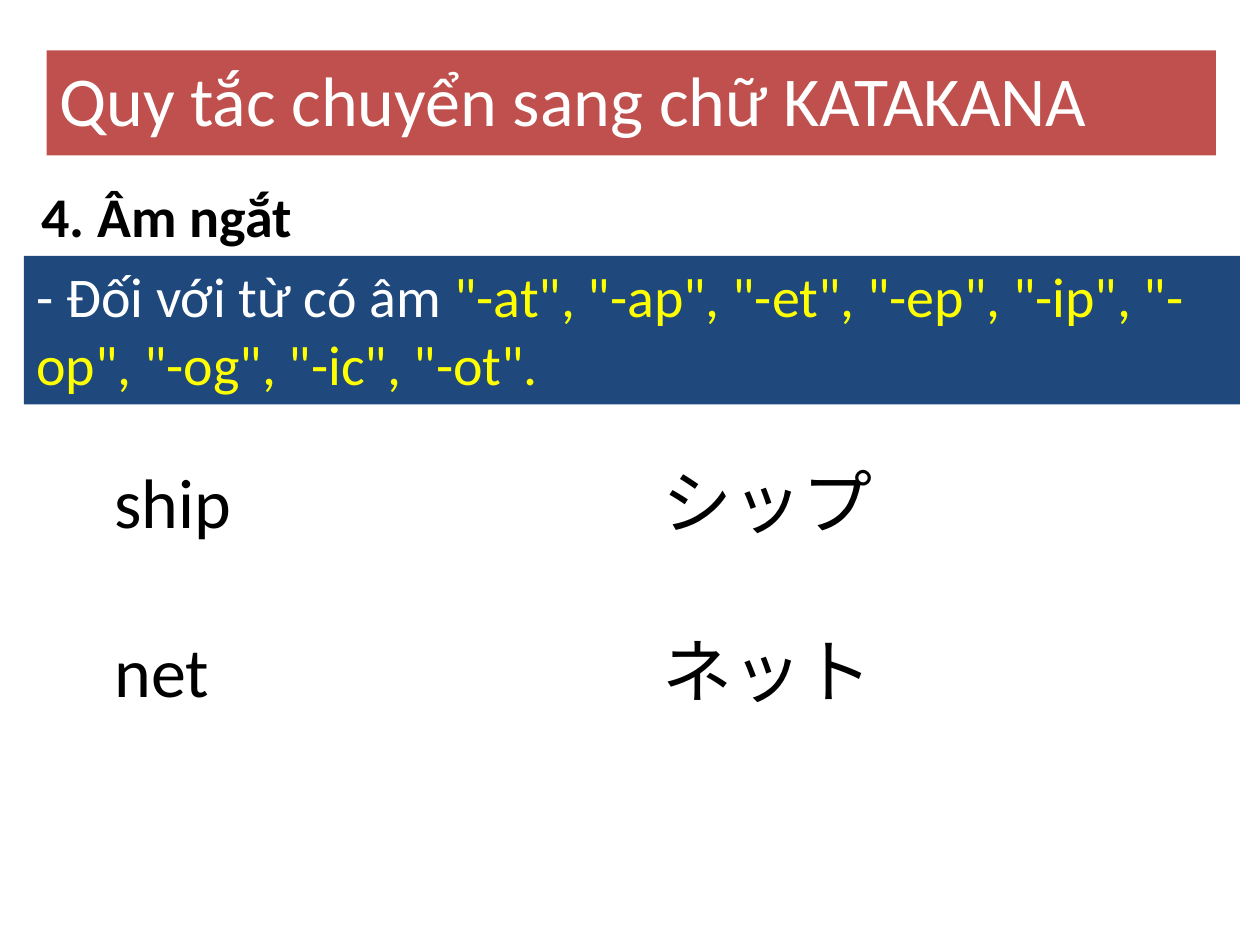
"""Build a slide on writing clipped sounds in katakana."""
from pptx import Presentation
from pptx.dml.color import RGBColor as RGB
from pptx.enum.text import MSO_ANCHOR as ANCHOR, MSO_AUTO_SIZE as AUTO, PP_ALIGN as ALIGN
from pptx.util import Inches, Pt

THEME = {
    "font": "Calibri", "large": 40, "medium": 32,
    "white": RGB(255, 255, 255), "black": RGB(0, 0, 0), "yellow": RGB(255, 255, 0),
    "red": RGB(0xC0, 0x50, 0x4D), "navy": RGB(0x1F, 0x49, 0x7D),
}
TITLE = "Quy tắc chuyển sang chữ KATAKANA"
HEADING = "4.\u00a0Âm ngắt"
RULE = "-\u00a0Đối với từ có\u00a0âm "
ENDINGS = '"-at", "-ap", "-et", "-ep", "-ip", "-op", "-og", "-ic", "-ot".'
WORDS = [("ship", "シップ"), ("net", "ネット")]
COLUMNS = [(0.81, 3.17), (5.16, 4.33)]
ROW_TOP, ROW_STEP, ROW_HEIGHT = 3.59, 1.34, 0.77


def style(sp, box, text, size="large", color="black", fill="white", bold=False):
    sp.left, sp.top, sp.width, sp.height = map(Inches, box)
    sp.fill.solid()
    sp.fill.fore_color.rgb = THEME[fill]
    tf = sp.text_frame
    tf.word_wrap = True
    tf.auto_size = AUTO.SHAPE_TO_FIT_TEXT
    tf.vertical_anchor = ANCHOR.TOP
    p = tf.paragraphs[0]
    p.text = text
    p.alignment = ALIGN.LEFT
    p.font.name = THEME["font"]
    p.font.size = Pt(THEME[size])
    p.font.bold = bold
    p.font.color.rgb = THEME[color]
    return p


def add_text(slide, box, text, **look):
    return style(slide.shapes.add_textbox(0, 0, 0, 0), box, text, **look)


def main():
    prs = Presentation()
    prs.slide_width, prs.slide_height = Inches(10), Inches(7.5)
    slide = prs.slides.add_slide(prs.slide_layouts.get_by_name("Title Only"))
    style(slide.shapes.title, (0.37, 0.4, 9.28, 0.77), TITLE, color="white", fill="red")
    add_text(slide, (0.23, 1.39, 8.8, 0.64), HEADING, size="medium", bold=True)
    p = add_text(slide, (0.19, 2.03, 9.65, 1.18), RULE, size="medium", color="white", fill="navy")
    r = p.add_run()
    r.text = ENDINGS
    r.font.color.rgb = THEME["yellow"]
    for row, pair in enumerate(WORDS):
        for (left, width), word in zip(COLUMNS, pair):
            add_text(slide, (left, ROW_TOP + row * ROW_STEP, width, ROW_HEIGHT), word)
    prs.save("out.pptx")


if __name__ == "__main__":
    main()
